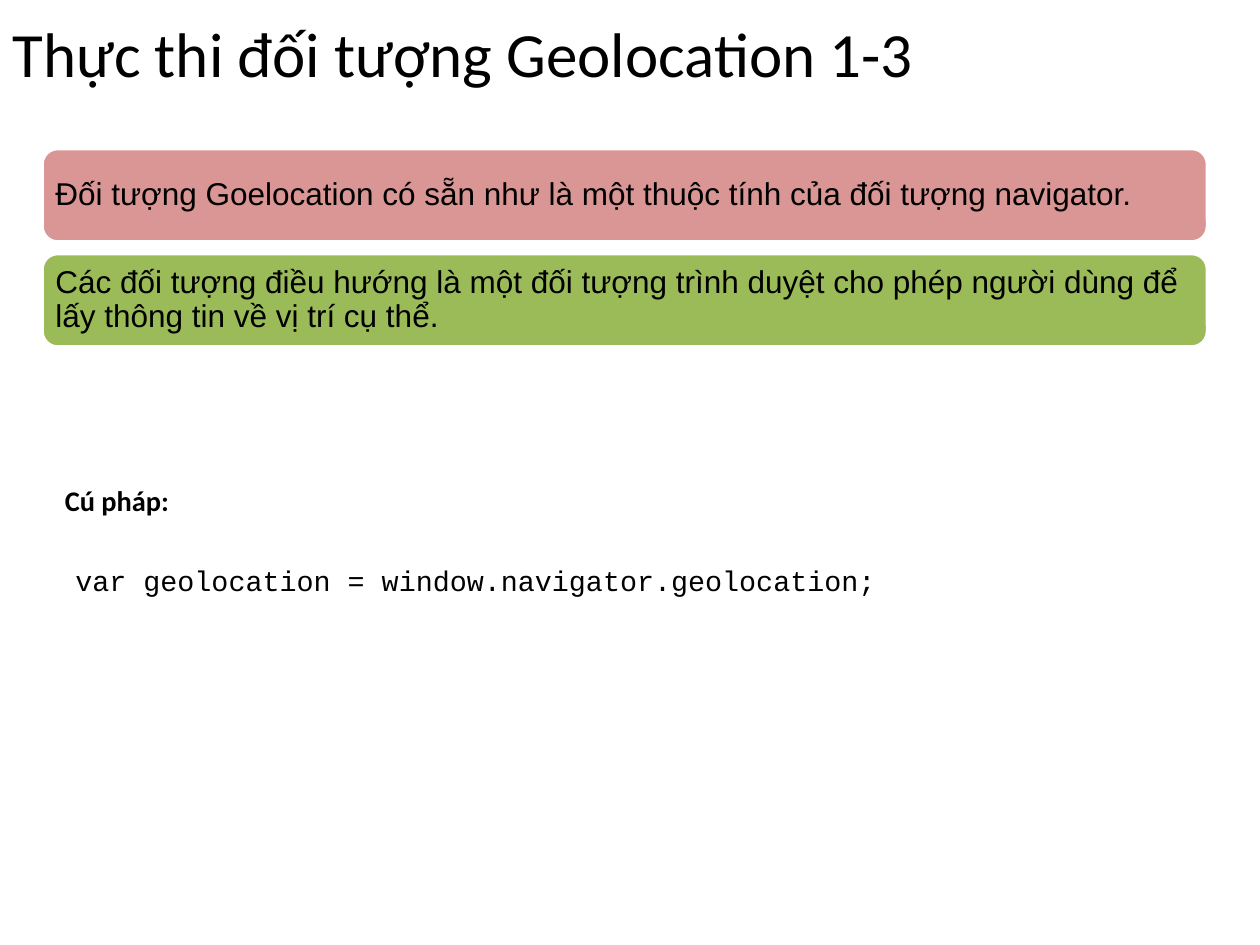
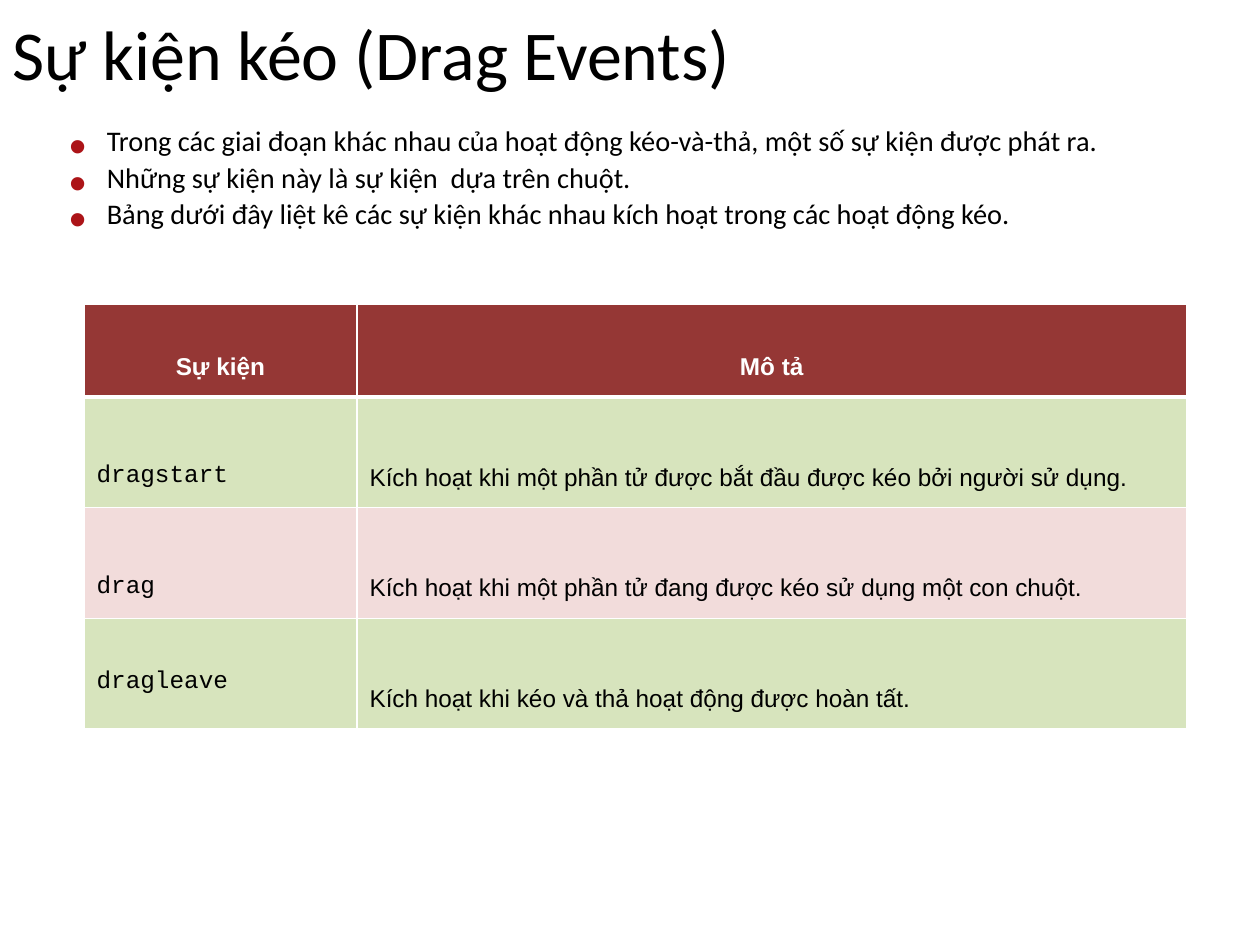
import pptx
import pptx.util
import pptx.dml.color
import pptx.enum.shapes
import pptx.enum.text
import pptx.oxml
import pptx.oxml.ns
from dataclasses import dataclass
from pptx.enum.text import MSO_ANCHOR, MSO_AUTO_SIZE, PP_ALIGN


@dataclass(frozen=True)
class Theme:
    black: str = "000000"
    white: str = "FFFFFF"
    bullet: str = "AC1418"
    rose: str = "D99694"
    green: str = "9BBB59"
    head: str = "953735"
    bands: tuple = ("D7E4BD", "F2DCDB")
    sans: str = "Calibri"
    body: str = "Arial"
    code: str = "Courier New"
    card_size: int = 18
    text_size: int = 28
    cell_size: int = 24


T = Theme()
RGB = pptx.dml.color.RGBColor.from_string
Pt = pptx.util.Pt
prs = pptx.Presentation()
prs.slide_width = pptx.util.Inches(10)
prs.slide_height = pptx.util.Inches(7.5)
UNIT = prs.slide_width / 120


def box(s, x, y, w, h, anchor=MSO_ANCHOR.MIDDLE):
    sp = s.shapes.add_textbox(*(round(n * UNIT) for n in (x, y, w, h)))
    tf = sp.text_frame
    tf.word_wrap = True
    tf.vertical_anchor = anchor
    return tf


def write(p, text, font, size, color=T.black, bold=False, raised=False):
    p.text = text
    for r in p.runs:
        r.font.name = font
        r.font.size = Pt(size)
        r.font.bold = bold
        r.font.color.rgb = RGB(color)
        if raised:
            r.font._element.set("baseline", "30000")


slides = []
for title, size in (("Thực thi đối tượng Geolocation 1-3", 36),
                    ("Sự kiện kéo (Drag Events)", 40)):
    s = prs.slides.add_slide(prs.slide_layouts[6])
    write(box(s, 0, 0, 111, 10).paragraphs[0], title, T.sans, size)
    slides.append(s)

s = slides[0]
cards = (
    ("Đối tượng Goelocation có sẵn như là một thuộc tính của đối tượng navigator.", T.rose),
    ("Các đối tượng điều hướng là một đối tượng trình duyệt cho phép người dùng để "
     "lấy thông tin về vị trí cụ thể.", T.green),
)
for i, (text, color) in enumerate(cards):
    sp = s.shapes.add_shape(
        pptx.enum.shapes.MSO_SHAPE.ROUNDED_RECTANGLE,
        *(round(n * UNIT) for n in (4, 14.15 + 10 * i, 111, 8.9)))
    sp.shadow.inherit = False
    sp.fill.solid()
    sp.fill.fore_color.rgb = RGB(color)
    sp.line.color.rgb = RGB(T.white)
    sp.line.width = Pt(2)
    tf = sp.text_frame
    tf.word_wrap = True
    tf.vertical_anchor = MSO_ANCHOR.MIDDLE
    tf.margin_left = tf.margin_right = tf.margin_top = tf.margin_bottom = pptx.util.Inches(0.07)
    p = tf.paragraphs[0]
    write(p, text, T.body, T.card_size)
    p.alignment = PP_ALIGN.LEFT
    p.line_spacing = 0.9

label = box(s, 5, 46.9, 18, 4.1)
write(label.paragraphs[0], "Cú pháp:", T.sans, T.text_size, bold=True, raised=True)
syntax = box(s, 6, 54, 91.5, 4.1, MSO_ANCHOR.TOP)
syntax.word_wrap = False
write(syntax.paragraphs[0], "var geolocation = window.navigator.geolocation;",
      T.code, T.text_size, raised=True)
for tf in (label, syntax):
    tf.auto_size = MSO_AUTO_SIZE.SHAPE_TO_FIT_TEXT
    tf.paragraphs[0].line_spacing = 0.7

s = slides[1]
tf = box(s, 3, 12, 114, 13)
points = (
    "Trong các giai đoạn khác nhau của hoạt động kéo-và-thả, một số sự kiện được phát ra.",
    "Những sự kiện này là sự kiện  dựa trên chuột.",
    "Bảng dưới đây liệt kê các sự kiện khác nhau kích hoạt trong các hoạt động kéo.",
)
NS = pptx.oxml.ns.nsdecls("a")
for i, text in enumerate(points):
    p = tf.add_paragraph() if i else tf.paragraphs[0]
    write(p, text, T.sans, T.text_size, raised=True)
    p.level = 1
    p.line_spacing = Pt(21)
    pPr = p._p.get_or_add_pPr()
    pPr.set("marL", str(round(6 * UNIT)))
    pPr.set("indent", str(round(-3.6 * UNIT)))
    for xml in (f'<a:buClr {NS}><a:srgbClr val="{T.bullet}"/></a:buClr>',
                f'<a:buFont {NS} typeface="{T.body}"/>',
                f'<a:buChar {NS} char="•"/>'):
        pPr.append(pptx.oxml.parse_xml(xml))

rows = (
    ("Sự kiện", "Mô tả"),
    ("dragstart", "Kích hoạt khi một phần tử được bắt đầu được kéo bởi người sử dụng."),
    ("drag", "Kích hoạt khi một phần tử đang được kéo sử dụng một con chuột."),
    ("dragleave", "Kích hoạt khi kéo và thả hoạt động được hoàn tất."),
)
cols = (26, 79)
heights = (8.8, 10.55, 10.55, 10.55)
tbl = s.shapes.add_table(len(rows), len(cols), *(
    round(n * UNIT) for n in (8, 29, sum(cols), sum(heights)))).table
for c, w in enumerate(cols):
    tbl.columns[c].width = round(w * UNIT)
for r, texts in enumerate(rows):
    tbl.rows[r].height = round(heights[r] * UNIT)
    for c, text in enumerate(texts):
        cell = tbl.cell(r, c)
        head = r == 0
        cell.vertical_anchor = MSO_ANCHOR.BOTTOM
        cell.margin_left = cell.margin_right = pptx.util.Inches(0.1)
        cell.margin_top = 0
        cell.margin_bottom = pptx.util.Inches(0.12 if text == "dragleave" else 0)
        p = cell.text_frame.paragraphs[0]
        write(p, text, T.code if c == 0 and not head else T.body, T.cell_size,
              T.white if head else T.black, head, True)
        p.alignment = PP_ALIGN.CENTER if head else PP_ALIGN.LEFT
        tcPr = cell._tc.get_or_add_tcPr()
        for side in "LRTB":
            wide = (head and side == "B") or (r == 1 and side == "T")
            tcPr.append(pptx.oxml.parse_xml(
                f'<a:ln{side} {NS} w="{Pt(3 if wide else 1)}"><a:solidFill>'
                f'<a:srgbClr val="{T.white}"/></a:solidFill></a:ln{side}>'))
        cell.fill.solid()
        cell.fill.fore_color.rgb = RGB(T.head if head else T.bands[(r - 1) % 2])

prs.save("out.pptx")
